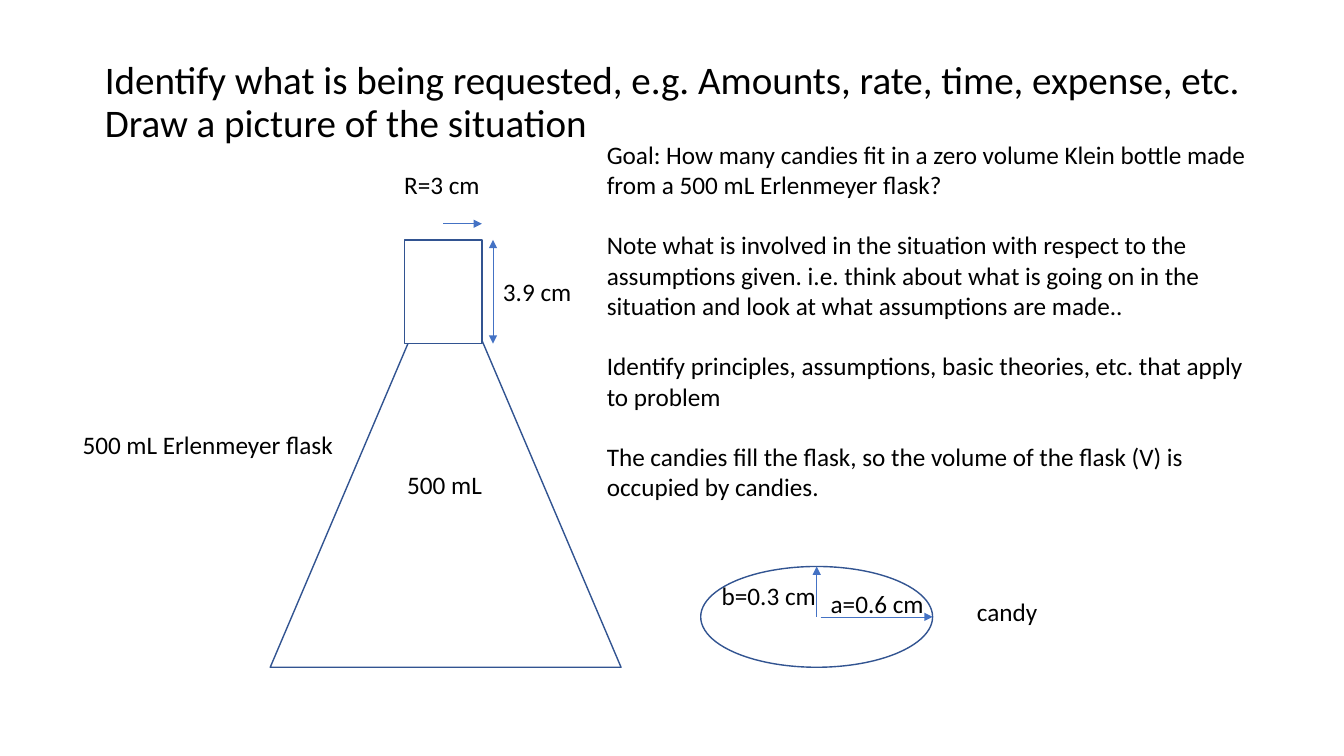
from lxml.etree import SubElement
from pptx import Presentation
from pptx.dml.color import RGBColor
from pptx.enum.shapes import MSO_CONNECTOR, MSO_SHAPE
from pptx.enum.text import MSO_ANCHOR, MSO_AUTO_SIZE, PP_ALIGN
from pptx.oxml.ns import qn
from pptx.util import Inches, Pt

FONT = "Calibri"
BLACK, WHITE = "000000", "FFFFFF"
OUTLINE, ARROW = "325491", "4472C4"
BODY_SIZE = 18
LABEL_HEIGHT = 0.4

TITLE = ("Identify what is being requested, e.g. Amounts, rate, time, expense, etc.\v"
         "Draw a picture of the situation")
NOTES = [
    "Goal: How many candies fit in a zero volume Klein bottle made from a 500 mL Erlenmeyer flask?",
    "Note what is involved in the situation with respect to the assumptions given. i.e. think about "
    "what is going on in the situation and look at what assumptions are made..",
    "Identify principles, assumptions, basic theories, etc. that apply to problem",
    "The candies fill the flask, so the volume of the flask (V) is occupied by candies.",
]


def color(hex_string):
    return RGBColor.from_string(hex_string)


def format_runs(paragraph, size):
    for span in paragraph.runs:
        span.font.name = FONT
        span.font.size = Pt(size)
        span.font.color.rgb = color(BLACK)


def add_text(shapes, left, top, width, height, lines, wrap=False, gap=0):
    """Add a text box with one paragraph per line, gap points apart."""
    box = shapes.add_textbox(Inches(left), Inches(top), Inches(width), Inches(height))
    frame = box.text_frame
    frame.text = "\n".join(lines)
    frame.word_wrap = wrap
    frame.auto_size = MSO_AUTO_SIZE.SHAPE_TO_FIT_TEXT
    for index, paragraph in enumerate(frame.paragraphs):
        paragraph.space_before = Pt(gap if index else 0)
        format_runs(paragraph, BODY_SIZE)


def add_outline(shapes, kind, left, top, width, height, fill=None):
    shape = shapes.add_shape(kind, Inches(left), Inches(top), Inches(width), Inches(height))
    shape.shadow.inherit = False
    if fill:
        shape.fill.solid()
        shape.fill.fore_color.rgb = color(fill)
    else:
        shape.fill.background()
    shape.line.color.rgb = color(OUTLINE)
    shape.line.width = Pt(1)


def add_arrow(shapes, x1, y1, x2, y2, both_ends=False):
    arrow = shapes.add_connector(
        MSO_CONNECTOR.STRAIGHT, Inches(x1), Inches(y1), Inches(x2), Inches(y2))
    arrow.line.color.rgb = color(ARROW)
    arrow.line.width = Pt(0.5)
    line = arrow.line._get_or_add_ln()
    for end in ("a:headEnd", "a:tailEnd") if both_ends else ("a:tailEnd",):
        SubElement(line, qn(end), type="triangle")
    SubElement(arrow._element.spPr, qn("a:effectLst"))


def set_title(page, left, top, width, height):
    title = page.shapes.title
    title.left, title.top = Inches(left), Inches(top)
    title.width, title.height = Inches(width), Inches(height)
    frame = title.text_frame
    frame.text = TITLE
    frame.word_wrap = True
    frame.auto_size = MSO_AUTO_SIZE.NONE
    frame.vertical_anchor = MSO_ANCHOR.MIDDLE
    paragraph = frame.paragraphs[0]
    paragraph.alignment = PP_ALIGN.LEFT
    paragraph.line_spacing = 0.9
    format_runs(paragraph, 27.9)


def add_flask(page, left, top, width, height):
    """Draw the flask: a cone whose tip is hidden by the neck, with its measures."""
    shapes = page.shapes.add_group_shape().shapes
    neck_width, neck_height = 0.77, 1.03
    neck_left, neck_top = left + 1.33, top - 0.15
    neck_right, neck_bottom = neck_left + neck_width, neck_top + neck_height
    radius_y, height_x = neck_top - 0.16, neck_right + 0.11

    add_outline(shapes, MSO_SHAPE.ISOSCELES_TRIANGLE, left, top, width, height)
    add_outline(shapes, MSO_SHAPE.RECTANGLE, neck_left, neck_top, neck_width, neck_height, WHITE)
    add_text(shapes, left + 1.26, top + 2.08, 0.95, LABEL_HEIGHT, ["500 mL"])
    add_text(shapes, height_x, neck_top + 0.31, 0.89, LABEL_HEIGHT, ["3.9 cm"])
    add_text(shapes, neck_left - 0.1, neck_top - 0.75, 0.96, LABEL_HEIGHT, ["R=3 cm"])
    add_arrow(shapes, neck_left + neck_width / 2, radius_y, neck_right, radius_y)
    add_arrow(shapes, height_x, neck_top, height_x, neck_bottom, both_ends=True)
    add_text(page.shapes, left - 1.96, top + 1.68, 2.71, LABEL_HEIGHT, ["500 mL Erlenmeyer flask"])


def add_candy(page, left, top, width, height):
    """Draw the candy as an ellipse with both half-axes and its name beside it."""
    shapes = page.shapes.add_group_shape().shapes
    center_x, center_y = left + width / 2, top + height / 2
    right = left + width

    add_outline(shapes, MSO_SHAPE.OVAL, left, top, width, height)
    add_arrow(shapes, center_x + 0.04, center_y, right, center_y)
    add_arrow(shapes, center_x, center_y, center_x, top)
    add_text(shapes, left + 0.11, top + 0.09, 1.2, LABEL_HEIGHT, ["b=0.3 cm"], wrap=True)
    add_text(shapes, center_x + 0.04, top + 0.17, 1.15, LABEL_HEIGHT, ["a=0.6 cm"], wrap=True)
    add_text(shapes, right + 0.34, top + 0.25, 0.95, LABEL_HEIGHT, ["candy"])


def main():
    deck = Presentation()
    deck.slide_width, deck.slide_height = Inches(13.33), Inches(7.5)
    page = deck.slides.add_slide(deck.slide_layouts[5])
    set_title(page, 0.94, 0.53, 11.5, 0.99)
    add_flask(page, 2.68, 2.53, 3.48, 4.09)
    add_candy(page, 6.95, 5.62, 2.3, 1)
    add_text(page.shapes, 5.92, 1.33, 6.67, 3.74, NOTES, wrap=True, gap=21.6)
    deck.save("out.pptx")


if __name__ == "__main__":
    main()
